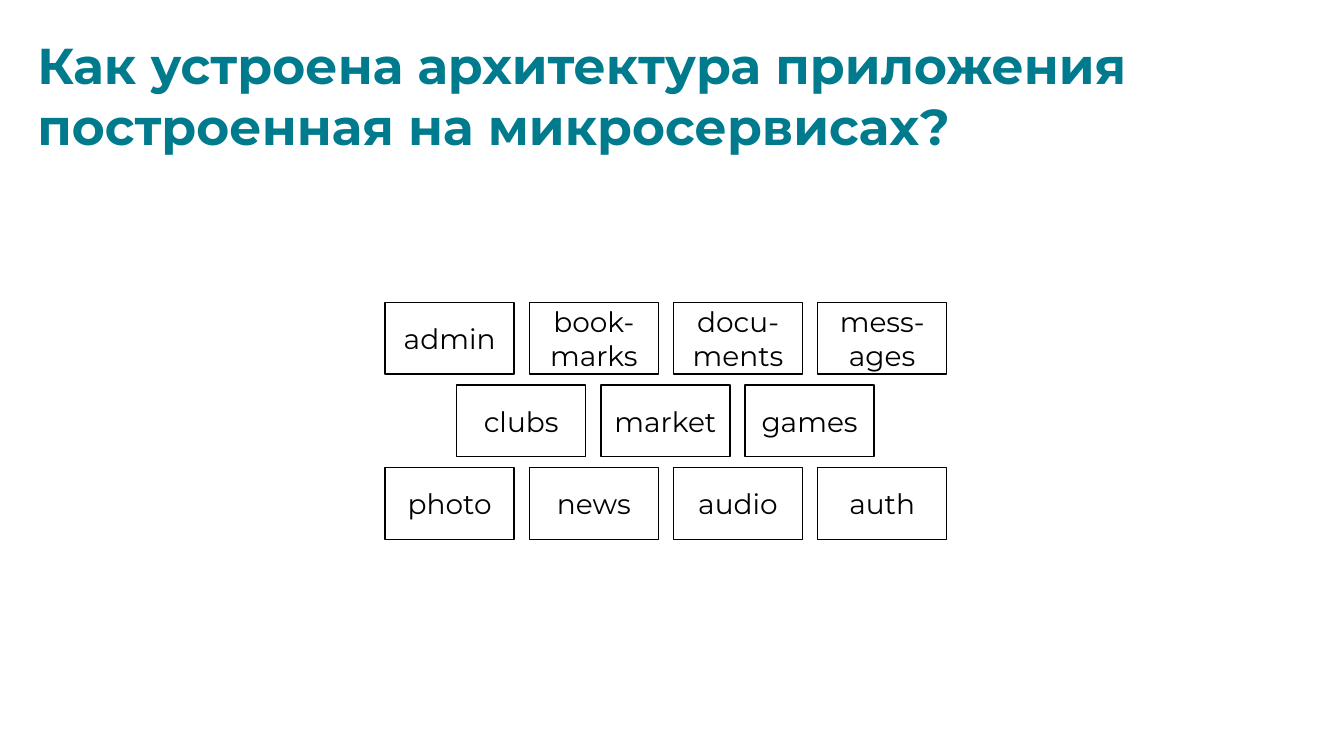
import pptx
import pptx.dml.color
import pptx.enum.shapes
import pptx.enum.text
import pptx.util

TEAL = pptx.dml.color.RGBColor(0x00, 0x7B, 0x8D)
BLACK = pptx.dml.color.RGBColor(0x00, 0x00, 0x00)
WHITE = pptx.dml.color.RGBColor(0xFF, 0xFF, 0xFF)

TITLE_LINES = ["Как устроена архитектура приложения", "построенная на микросервисах?"]
SERVICE_ROWS = [
    ["admin", "book-marks", "docu-ments", "mess-ages"],
    ["clubs", "market", "games"],
    ["photo", "news", "audio", "auth"],
]
CENTER_X, TOP = 660, 300
BOX_W, BOX_H = 128, 71
PITCH_X, PITCH_Y = 143, 82


def px(n):
    return pptx.util.Emu(n * 9144)


class Deck:
    font = "Montserrat"

    def __init__(self, width, height):
        self.prs = pptx.Presentation()
        self.prs.slide_width, self.prs.slide_height = px(width), px(height)
        self.s = self.prs.slides.add_slide(self.prs.slide_layouts[5])

    def run(self, p, text, size, color, bold=False):
        r = p.add_run()
        r.text = text
        r.font.name = self.font
        r.font.size = pptx.util.Pt(size)
        r.font.bold = bold
        r.font.color.rgb = color

    def title(self, x, y, w, h, lines):
        sp = self.s.shapes.title
        sp.left, sp.top, sp.width, sp.height = px(x), px(y), px(w), px(h)
        tf = sp.text_frame
        tf.word_wrap = False
        tf.auto_size = pptx.enum.text.MSO_AUTO_SIZE.SHAPE_TO_FIT_TEXT
        tf.vertical_anchor = pptx.enum.text.MSO_ANCHOR.TOP
        for i, line in enumerate(lines):
            p = tf.add_paragraph() if i else tf.paragraphs[0]
            p.alignment = pptx.enum.text.PP_ALIGN.LEFT
            self.run(p, line, 36, TEAL, bold=True)

    def box(self, x, y, w, h, text):
        sp = self.s.shapes.add_shape(
            pptx.enum.shapes.MSO_SHAPE.RECTANGLE, px(x), px(y), px(w), px(h))
        sp.shadow.inherit = False
        sp.fill.solid()
        sp.fill.fore_color.rgb = WHITE
        sp.line.color.rgb = BLACK
        sp.line.width = pptx.util.Pt(1)
        tf = sp.text_frame
        tf.word_wrap = True
        tf.vertical_anchor = pptx.enum.text.MSO_ANCHOR.MIDDLE
        p = tf.paragraphs[0]
        p.alignment = pptx.enum.text.PP_ALIGN.CENTER
        self.run(p, text, 20, BLACK)


def main():
    deck = Deck(1333, 750)
    deck.title(27, 29, 1117, 131, TITLE_LINES)
    for row, services in enumerate(SERVICE_ROWS):
        row_w = (len(services) - 1) * PITCH_X + BOX_W
        left = CENTER_X - row_w // 2
        for col, service in enumerate(services):
            deck.box(left + col * PITCH_X, TOP + row * PITCH_Y, BOX_W, BOX_H, service)
    deck.prs.save("out.pptx")


if __name__ == "__main__":
    main()
